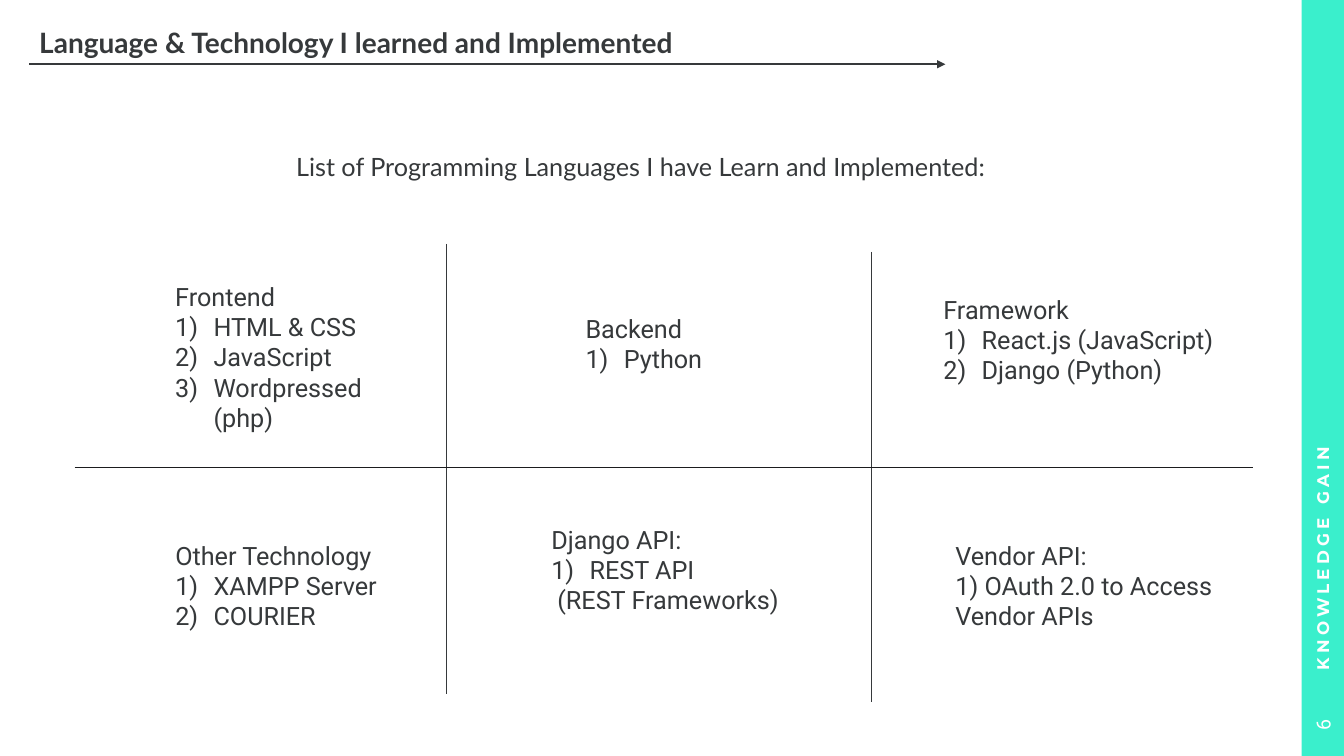
from dataclasses import dataclass

from lxml import etree
from pptx import Presentation
from pptx import util as u
from pptx.dml.color import RGBColor
from pptx.enum import shapes, text
from pptx.oxml.ns import qn


@dataclass(frozen=True)
class Theme:
    ink: str = "36393B"
    rule: str = "1B1C1E"
    accent: str = "3AEFCC"
    white: str = "FFFFFF"
    title_font: str = "Lato"
    body_font: str = "Roboto"
    label_font: str = "Montserrat"
    title_size: int = 20
    body_size: int = 18
    page_size: int = 14
    label_size: int = 12
    arrow_width: float = 1.5
    rule_width: float = 0.5
    number_indent: float = 0.38


def write(paragraph, content, *, font, size, color, bold=False, spacing=0):
    run = paragraph.add_run()
    run.text = content
    run.font.name = font
    run.font.size = u.Pt(size)
    run.font.bold = bold
    run.font.color.rgb = RGBColor.from_string(color)
    if spacing:
        run.font._element.set("spc", str(spacing * 100))


def indent(paragraph, left, number=False):
    """Indent by inches; with number, hang a 1) 2) 3) marker in the indent."""
    properties = paragraph._p.get_or_add_pPr()
    properties.set("marL", str(u.Inches(left)))
    if number:
        properties.set("indent", str(-u.Inches(left)))
        etree.SubElement(properties, qn("a:buAutoNum"), type="arabicParenR")


class SlideBuilder:
    """Draws on a grid of 100 columns by 100 rows."""

    def __init__(self, presentation, theme):
        self.theme = theme
        self.slide = presentation.slides.add_slide(presentation.slide_layouts[6])
        self.column = presentation.slide_width / 100
        self.row = presentation.slide_height / 100

    def place(self, x, y):
        return round(x * self.column), round(y * self.row)

    def bar(self, x, y, width, height):
        shape = self.slide.shapes.add_shape(
            shapes.MSO_SHAPE.RECTANGLE, *self.place(x, y), *self.place(width, height))
        shape.shadow.inherit = False
        shape.fill.solid()
        shape.fill.fore_color.rgb = RGBColor.from_string(self.theme.accent)
        shape.line.fill.background()

    def line(self, start, end, color, width, arrow=False):
        connector = self.slide.shapes.add_connector(
            shapes.MSO_CONNECTOR.STRAIGHT, *self.place(*start), *self.place(*end))
        connector.line.color.rgb = RGBColor.from_string(color)
        connector.line.width = u.Pt(width)
        if arrow:
            etree.SubElement(connector.line._ln, qn("a:tailEnd"), type="triangle")
        etree.SubElement(connector._element.spPr, qn("a:effectLst"))

    def box(self, x, y, width, height, wrap=True, grow=True):
        shape = self.slide.shapes.add_textbox(
            *self.place(x, y), *self.place(width, height))
        frame = shape.text_frame
        frame.word_wrap = wrap
        frame.auto_size = (text.MSO_AUTO_SIZE.SHAPE_TO_FIT_TEXT if grow
                           else text.MSO_AUTO_SIZE.NONE)
        return shape

    def heading(self, content, area, wrap=True, **style):
        frame = self.box(*area, wrap=wrap).text_frame
        write(frame.paragraphs[0], content, font=self.theme.title_font,
              color=self.theme.ink, **style)

    def side_label(self, content, area, align, inset=0.1, **style):
        """Text that reads upwards on the side bar."""
        shape = self.box(*area, grow=False)
        shape.rotation = 270
        frame = shape.text_frame
        frame.vertical_anchor = text.MSO_ANCHOR.MIDDLE
        frame.margin_left = u.Inches(inset)
        frame.paragraphs[0].alignment = align
        write(frame.paragraphs[0], content, color=self.theme.white, **style)

    def topic(self, area, name, numbered=(), closing=None, closing_indent=0):
        frame = self.box(*area).text_frame
        style = dict(font=self.theme.body_font, size=self.theme.body_size,
                     color=self.theme.ink)
        write(frame.paragraphs[0], name, **style)
        for item in numbered:
            paragraph = frame.add_paragraph()
            indent(paragraph, self.theme.number_indent, number=True)
            write(paragraph, item, **style)
        if closing:
            paragraph = frame.add_paragraph()
            indent(paragraph, closing_indent)
            write(paragraph, closing, **style)


def main():
    presentation = Presentation()
    presentation.slide_width = u.Inches(13.33)
    presentation.slide_height = u.Inches(7.5)
    theme = Theme()
    slide = SlideBuilder(presentation, theme)

    slide.bar(96.85, 0, 3.15, 100)
    slide.side_label("KNOWLEDGE GAIN", (72.6, 43.07, 51.6, 5.6),
                     text.PP_ALIGN.LEFT, inset=0.23, font=theme.label_font,
                     size=theme.label_size, bold=True, spacing=3)
    slide.side_label("6", (96.1, 93.07, 4.65, 5.6), text.PP_ALIGN.CENTER,
                     font=theme.body_font, size=theme.page_size)

    slide.heading("Language & Technology I learned and Implemented",
                  (2.18, 2.67, 71.4, 5.87), size=theme.title_size, bold=True)
    slide.line((2.18, 8.5), (70.35, 8.5), theme.ink, theme.arrow_width, arrow=True)
    slide.heading("List of Programming Languages I have Learn and Implemented:",
                  (21.3, 19.33, 55.43, 5.33), wrap=False, size=theme.body_size)

    slide.topic((12.3, 36.53, 18.6, 25.6), "Frontend",
                ["HTML & CSS", "JavaScript", "Wordpressed (php)"])
    slide.topic((42.83, 40.8, 14.03, 13.47), "Backend", ["Python"])
    slide.topic((69.45, 38.27, 21.9, 13.47), "Framework",
                ["React.js (JavaScript)", "Django (Python)"])
    slide.topic((12.3, 70.8, 25, 17.47), "Other Technology",
                ["XAMPP Server", "COURIER"])
    slide.topic((40.28, 68.67, 34.28, 13.47), "Django API:", ["REST API"],
                closing="(REST Frameworks)", closing_indent=0.06)
    slide.topic((70.35, 70.8, 25.2, 13.47), "Vendor API:",
                closing="1) OAuth 2.0 to Access Vendor APIs")

    divider_length = 59.47
    for x, top in ((33.23, 32.27), (64.8, 33.33)):
        slide.line((x, top), (x, top + divider_length), theme.ink, theme.rule_width)
    slide.line((5.55, 61.87), (93.23, 61.87), theme.rule, theme.rule_width)

    presentation.save("out.pptx")


if __name__ == "__main__":
    main()
